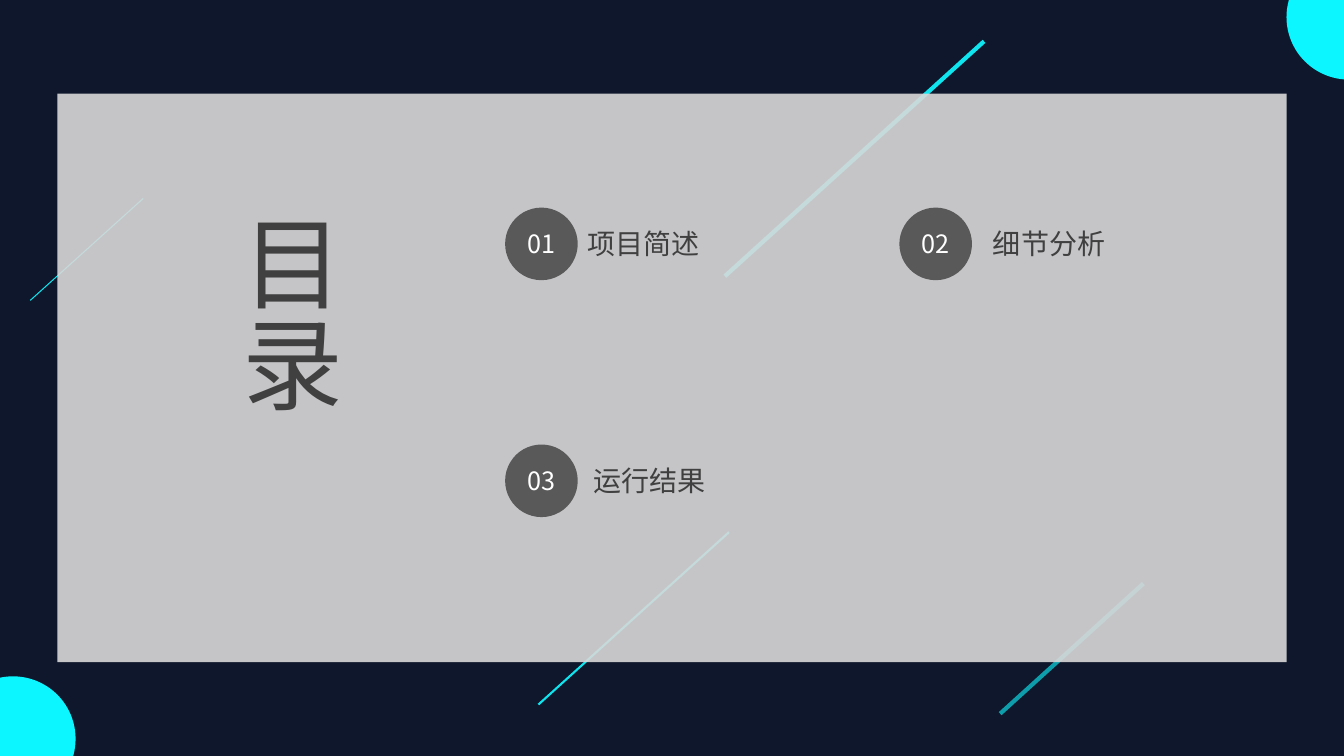
import pptx
import pptx.util
import pptx.dml.color
import pptx.enum.shapes
import pptx.enum.text
import pptx.oxml.ns
import lxml.etree

Inches = pptx.util.Inches
RGBColor = pptx.dml.color.RGBColor
MSO_SHAPE = pptx.enum.shapes.MSO_SHAPE
PP_ALIGN = pptx.enum.text.PP_ALIGN
MSO_ANCHOR = pptx.enum.text.MSO_ANCHOR
MSO_AUTO_SIZE = pptx.enum.text.MSO_AUTO_SIZE
qn = pptx.oxml.ns.qn

NAVY = RGBColor(0x0F, 0x17, 0x2C)
CYAN = RGBColor(0x0B, 0xF6, 0xFF)
TEAL = RGBColor(0x0E, 0xE5, 0xEE)
PANEL_GREY = RGBColor(0xD9, 0xD9, 0xD9)
BADGE_GREY = RGBColor(0x59, 0x59, 0x59)
TEXT_GREY = RGBColor(0x40, 0x40, 0x40)
WHITE = RGBColor(0xFF, 0xFF, 0xFF)
FONT = "Noto Sans CJK SC"

deck = pptx.Presentation()
deck.slide_width = Inches(13.33)
deck.slide_height = Inches(7.5)
page = deck.slides.add_slide(deck.slide_layouts[5])
page.background.fill.solid()
page.background.fill.fore_color.rgb = NAVY


def write(shape, text, size, color=TEXT_GREY, align=PP_ALIGN.LEFT,
          anchor=MSO_ANCHOR.TOP, auto_size=MSO_AUTO_SIZE.NONE):
    frame = shape.text_frame
    frame.word_wrap = True
    frame.auto_size = auto_size
    frame.vertical_anchor = anchor
    para = frame.paragraphs[0]
    para.alignment = align
    span = para.add_run()
    span.text = text
    span.font.size = pptx.util.Pt(size)
    span.font.color.rgb = color
    span.font.name = FONT
    east_asian = lxml.etree.SubElement(span.font._element, qn("a:ea"))
    east_asian.set("typeface", FONT)


def add_filled(kind, left, top, width, height, color, opacity=100):
    shape = page.shapes.add_shape(
        kind, Inches(left), Inches(top), Inches(width), Inches(height))
    shape.shadow.inherit = False
    shape.line.fill.background()
    shape.fill.solid()
    shape.fill.fore_color.rgb = color
    if opacity < 100:
        rgb = shape._element.spPr.find(".//" + qn("a:srgbClr"))
        lxml.etree.SubElement(rgb, qn("a:alpha")).set("val", str(opacity * 1000))
    return shape


# Diagonal streaks behind the panel: start, end, weight, opacity
streaks = [
    ((1.42, 1.97), (0.3, 2.98), 0.75, 100),
    ((11.34, 5.79), (9.92, 7.08), 3, 66),
    ((9.76, 0.41), (7.19, 2.74), 3, 100),
    ((7.23, 5.28), (5.34, 6.99), 1.5, 100),
]
for start, end, weight, opacity in streaks:
    streak = page.shapes.add_connector(
        pptx.enum.shapes.MSO_CONNECTOR.STRAIGHT,
        *[Inches(value) for value in start + end])
    streak.line.color.rgb = TEAL
    streak.line.width = pptx.util.Pt(weight)
    properties = streak._element.spPr
    if opacity < 100:
        rgb = properties.find(".//" + qn("a:srgbClr"))
        lxml.etree.SubElement(rgb, qn("a:alpha")).set("val", str(opacity * 1000))
    lxml.etree.SubElement(properties, qn("a:effectLst"))

# Panel between two corner discs
add_filled(MSO_SHAPE.OVAL, -0.49, 6.71, 1.24, 1.24, CYAN)
add_filled(MSO_SHAPE.RECTANGLE, 0.57, 0.93, 12.19, 5.64, PANEL_GREY, opacity=90)
add_filled(MSO_SHAPE.OVAL, 12.76, -0.45, 1.24, 1.24, CYAN)

# Contents entries: number, label, badge left, badge top, label left
entries = [
    ("01", "项目简述", 5.01, 2.06, 5.73),
    ("02", "细节分析", 8.92, 2.06, 9.75),
    ("03", "运行结果", 5.01, 4.41, 5.79),
]
for number, label, badge_left, badge_top, label_left in entries:
    badge = add_filled(MSO_SHAPE.OVAL, badge_left, badge_top, 0.72, 0.72, BADGE_GREY)
    write(badge, number, 18, color=WHITE, align=PP_ALIGN.CENTER,
          anchor=MSO_ANCHOR.MIDDLE)
    label_box = page.shapes.add_textbox(
        Inches(label_left), Inches(badge_top + 0.14), Inches(3.09), Inches(0.44))
    write(label_box, label, 20, auto_size=MSO_AUTO_SIZE.SHAPE_TO_FIT_TEXT)

# Vertical title, brought in front of the panel
title = page.shapes.title
title.left, title.top = Inches(2.16), Inches(2.06)
title.width, title.height = Inches(1.41), Inches(3.06)
write(title, "目录", 72, align=PP_ALIGN.JUSTIFY)
title.text_frame._txBody.bodyPr.set("vert", "eaVert")
page.shapes._spTree.append(title._element)

deck.save("out.pptx")
